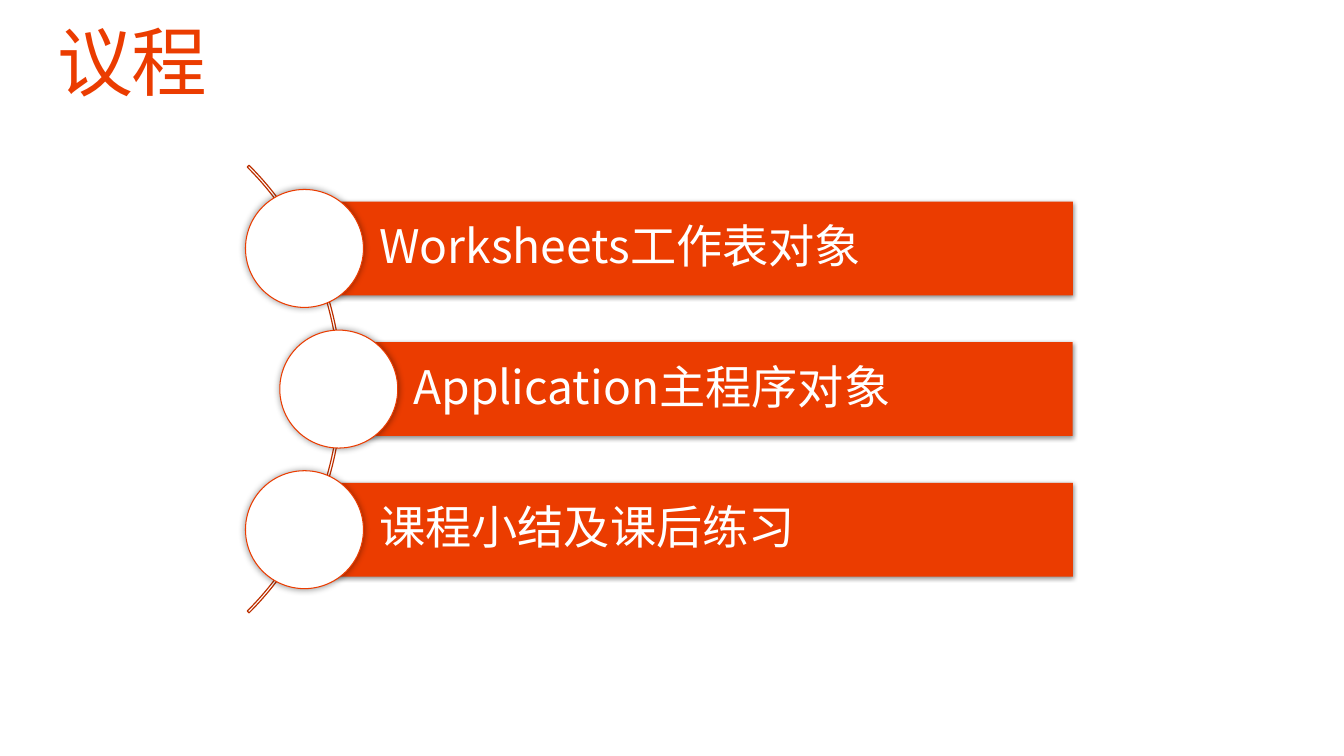
from lxml import etree
from pptx import Presentation
from pptx.dml.color import RGBColor
from pptx.enum.shapes import MSO_SHAPE
from pptx.enum.text import MSO_ANCHOR, MSO_AUTO_SIZE, PP_ALIGN
from pptx.oxml.ns import qn
from pptx.util import Inches, Pt

ORANGE = RGBColor(0xEB, 0x3C, 0x00)
DARK_ORANGE = RGBColor(0xBC, 0x30, 0x00)
WHITE = RGBColor(0xFF, 0xFF, 0xFF)
TITLE_FONT = "Cabin"
BODY_FONT = "Noto Sans CJK SC"
RECTANGLE = MSO_SHAPE.RECTANGLE
OVAL = MSO_SHAPE.OVAL
BLOCK_ARC = MSO_SHAPE.BLOCK_ARC
MIDDLE = MSO_ANCHOR.MIDDLE
TOP = MSO_ANCHOR.TOP
LEFT = PP_ALIGN.LEFT
NO_AUTOFIT = MSO_AUTO_SIZE.NONE

TOPICS = [
    ("Worksheets工作表对象", 0),
    ("Application主程序对象", 0.34),
    ("课程小结及课后练习", 0),
]
BAR_HEIGHT = 0.93
BAR_STEP = 1.395
CIRCLE_SIZE = 1.17
ARC_SIZE = 6.28


def format_text(frame, text, font_name, size, color, margins, anchor):
    frame.text = text
    frame.word_wrap = True
    frame.auto_size = NO_AUTOFIT
    frame.vertical_anchor = anchor
    frame.margin_left, frame.margin_top, frame.margin_right, frame.margin_bottom = map(Inches, margins)
    para = frame.paragraphs[0]
    para.alignment = LEFT
    para.line_spacing = 0.9
    font = para.font
    font.name = font_name
    font.size = Pt(size)
    font.color.rgb = color
    etree.SubElement(font._element, qn("a:ea"), typeface=BODY_FONT)
    return para


def add_shadow(shape, opacity, blur, distance, angle):
    effects = shape._element.spPr.find(qn("a:effectLst"))
    shadow = etree.SubElement(
        effects, qn("a:outerShdw"), blurRad=str(Pt(blur)), dist=str(Pt(distance)),
        dir=str(angle * 60000), algn="ctr", rotWithShape="0")
    color = etree.SubElement(shadow, qn("a:srgbClr"), val="000000")
    etree.SubElement(color, qn("a:alpha"), val=str(opacity * 1000))


def add_plain_shape(slide, kind, box, fill=None, line=None, width=0.75):
    shape = slide.shapes.add_shape(kind, *map(Inches, box))
    shape.shadow.inherit = False
    if fill is None:
        shape.fill.background()
    else:
        shape.fill.solid()
        shape.fill.fore_color.rgb = fill
    if line is None:
        shape.line.fill.background()
    else:
        shape.line.color.rgb = line
        shape.line.width = Pt(width)
    return shape


def add_title(slide, box):
    title = slide.shapes.title
    title.left, title.top, title.width, title.height = map(Inches, box)
    para = format_text(title.text_frame, "议程", TITLE_FONT, 54, ORANGE, (0, 0, 0, 0), TOP)
    para.font._element.set("spc", "-100")


def add_arc(slide, box):
    arc = add_plain_shape(slide, BLOCK_ARC, box, line=DARK_ORANGE, width=0.85)
    for index, value in enumerate((189, 27, 0.004)):
        arc.adjustments[index] = value


def add_topic(slide, box, text):
    left, top, width, height = box
    bar = add_plain_shape(slide, RECTANGLE, box, fill=ORANGE)
    add_shadow(bar, 45, 3.5, 1.1, 90)
    format_text(bar.text_frame, text, BODY_FONT, 33, WHITE, (0.74, 0.09, 0.09, 0.09), MIDDLE)
    circle_box = (left - CIRCLE_SIZE / 2, top + (height - CIRCLE_SIZE) / 2, CIRCLE_SIZE, CIRCLE_SIZE)
    circle = add_plain_shape(slide, OVAL, circle_box, fill=WHITE, line=ORANGE)
    add_shadow(circle, 40, 5, 0, 0)


def add_agenda(slide, box):
    left, top, width, height = box
    arc_top = top + (height - ARC_SIZE) / 2
    add_arc(slide, (left + 0.37 - ARC_SIZE, arc_top, ARC_SIZE, ARC_SIZE))
    for index, (text, indent) in enumerate(TOPICS):
        bar_box = (left + indent, top + index * BAR_STEP, width - indent, BAR_HEIGHT)
        add_topic(slide, bar_box, text)


def main():
    deck = Presentation()
    deck.slide_width = Inches(13.33)
    deck.slide_height = Inches(7.5)
    slide = deck.slides.add_slide(deck.slide_layouts[5])
    add_title(slide, (0.57, 0.25, 12.19, 0.82))
    add_agenda(slide, (3.02, 2, 7.62, 2 * BAR_STEP + BAR_HEIGHT))
    deck.save("out.pptx")


if __name__ == "__main__":
    main()
